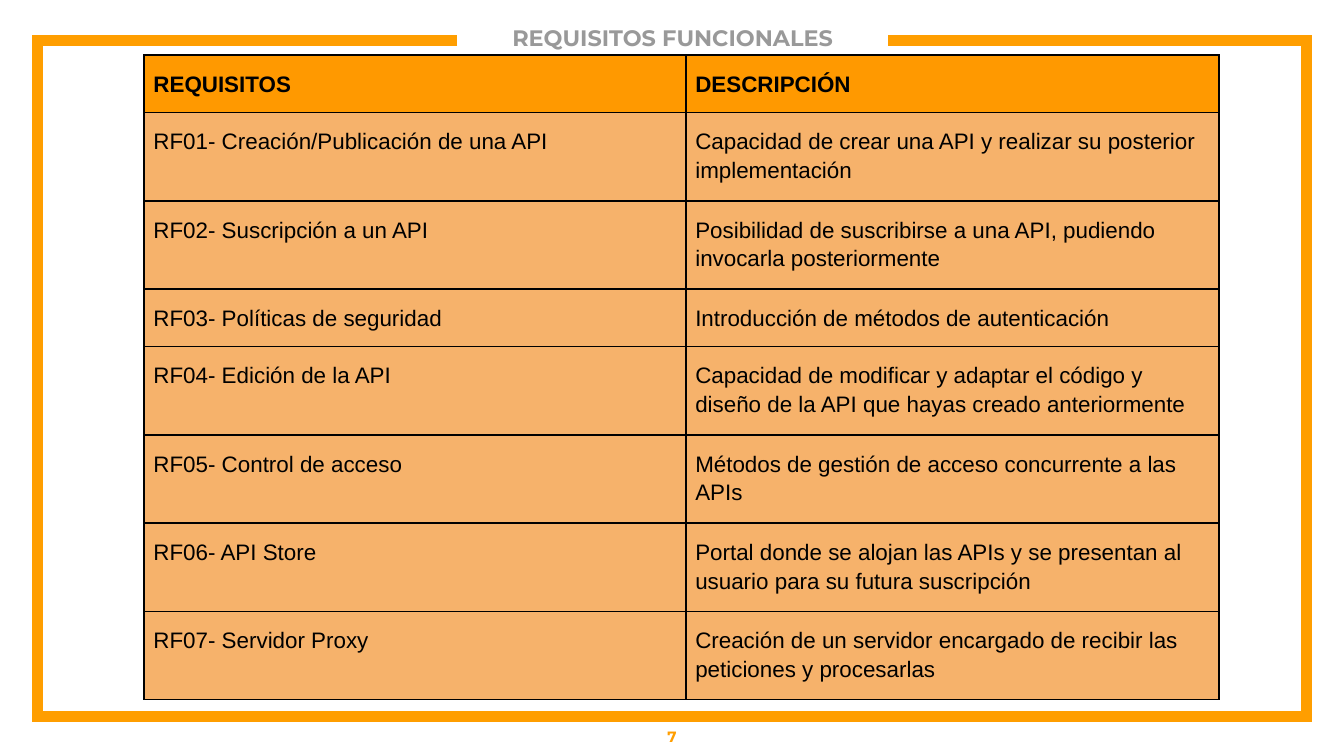
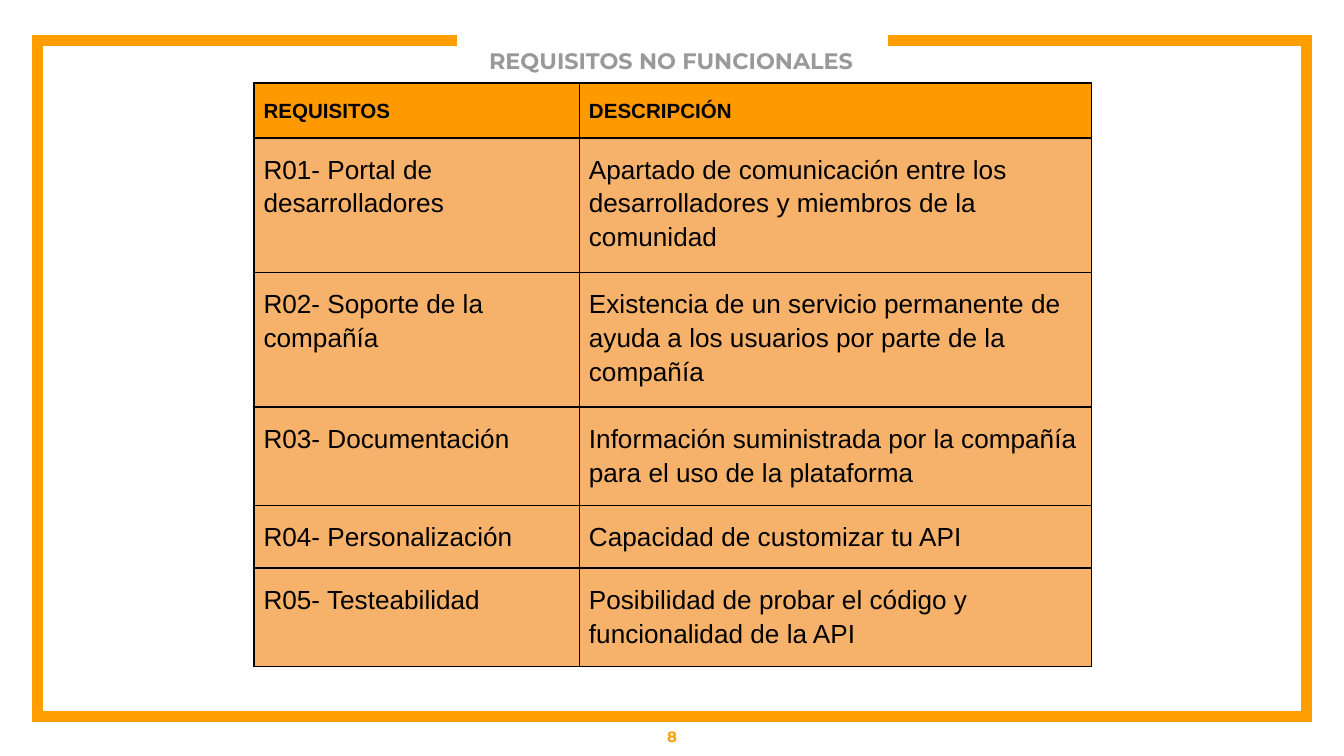
from lxml.etree import SubElement
from pptx import Presentation
from pptx.dml.color import RGBColor
from pptx.enum.text import MSO_ANCHOR, MSO_AUTO_SIZE, PP_ALIGN
from pptx.oxml import parse_xml
from pptx.oxml.ns import nsdecls, qn
from pptx.util import Cm, Pt

COLORS = {
    "frame": "FF9E00",
    "title": "999999",
    "head": "FF9900",
    "body": "F6B26B",
    "text": "000000",
}
HEADS = ("REQUISITOS", "DESCRIPCIÓN")
FRAME = [(8.64, 0.76), (0.71, 0.76), (0.71, 13.54),
         (24.69, 13.54), (24.69, 0.76), (16.79, 0.76)]

# Each row: requirement, description, number of text lines
PAGES = [
    {
        "number": "7",
        "title": "REQUISITOS FUNCIONALES",
        "title_at": (9.02, -0.3),
        "table_at": (2.72, 1.04),
        "widths": (10.24, 10.08),
        "sizes": (12, 12),
        "rows": [
            ("RF01- Creación/Publicación de una API",
             "Capacidad de crear una API y realizar su posterior implementación", 2),
            ("RF02- Suscripción a un API",
             "Posibilidad de suscribirse a una API, pudiendo invocarla posteriormente", 2),
            ("RF03- Políticas de seguridad",
             "Introducción de métodos de autenticación", 1),
            ("RF04- Edición de la API",
             "Capacidad de modificar y adaptar el código y diseño de la API "
             "que hayas creado anteriormente", 2),
            ("RF05- Control de acceso",
             "Métodos de gestión de acceso concurrente a las APIs", 2),
            ("RF06- API Store",
             "Portal donde se alojan las APIs y se presentan al usuario "
             "para su futura suscripción", 2),
            ("RF07- Servidor Proxy",
             "Creación de un servidor encargado de recibir las peticiones "
             "y procesarlas", 2),
        ],
    },
    {
        "number": "8",
        "title": "REQUISITOS NO FUNCIONALES",
        "title_at": (8.99, 0.13),
        "table_at": (4.8, 1.57),
        "widths": (6.15, 9.68),
        "sizes": (11, 14),
        "rows": [
            ("R01- Portal de desarrolladores",
             "Apartado de comunicación entre los desarrolladores y miembros "
             "de la comunidad", 3),
            ("R02- Soporte de la compañía",
             "Existencia de un servicio permanente de ayuda a los usuarios "
             "por parte de la compañía", 3),
            ("R03- Documentación",
             "Información suministrada por la compañía para el uso de la plataforma", 2),
            ("R04- Personalización", "Capacidad de customizar tu API", 1),
            ("R05- Testeabilidad",
             "Posibilidad de probar el código y funcionalidad de la API", 2),
        ],
    },
]


def write(frame, text, font, size, color, bold=True):
    para = frame.paragraphs[0]
    run = para.add_run()
    run.text = text
    run.font.name = font
    run.font.size = Pt(size)
    run.font.bold = bold
    run.font.color.rgb = RGBColor.from_string(COLORS[color])
    return para


def style(cell, color):
    """Fill a cell, set its margins and draw its four borders."""
    cell.fill.solid()
    cell.fill.fore_color.rgb = RGBColor.from_string(COLORS[color])
    cell.margin_left = cell.margin_right = Cm(0.18)
    cell.margin_top = cell.margin_bottom = Cm(0.25)
    props = cell._tc.get_or_add_tcPr()
    for spot, side in enumerate("LRTB"):
        props.insert(spot, parse_xml(
            f'<a:ln{side} {nsdecls("a")} w="{Pt(1)}"><a:solidFill>'
            f'<a:srgbClr val="{COLORS["text"]}"/></a:solidFill></a:ln{side}>'))


deck = Presentation()
deck.slide_width = Cm(25.4)
deck.slide_height = Cm(14.29)

for page in PAGES:
    slide = deck.slides.add_slide(deck.slide_layouts[5])

    # Open frame around the slide
    points = [(Cm(x), Cm(y)) for x, y in FRAME]
    path = slide.shapes.build_freeform(*points[0])
    path.add_line_segments(points[1:], close=False)
    border = path.convert_to_shape()
    border.shadow.inherit = False
    border.fill.background()
    border.line.color.rgb = RGBColor.from_string(COLORS["frame"])
    border.line.width = Pt(6)
    SubElement(border.line._get_or_add_ln(), qn("a:miter"), lim="800000")

    # Title
    title = slide.shapes.title
    title.left, title.top = (Cm(v) for v in page["title_at"])
    title.width, title.height = Cm(7.39), Cm(2.03)
    frame = title.text_frame
    frame.auto_size = MSO_AUTO_SIZE.NONE
    frame.word_wrap = True
    frame.vertical_anchor = MSO_ANCHOR.BOTTOM
    frame.margin_left = frame.margin_right = frame.margin_top = Cm(0.25)
    frame.margin_bottom = Cm(0.76)
    para = write(frame, page["title"], "Montserrat", 12, "title")
    para.alignment = PP_ALIGN.CENTER

    # Page number
    foot = slide.shapes.add_textbox(0, Cm(13.54), deck.slide_width, Cm(0.75))
    frame = foot.text_frame
    frame.word_wrap = True
    frame.vertical_anchor = MSO_ANCHOR.MIDDLE
    para = write(frame, page["number"], "Montserrat", 8, "frame")
    para.alignment = PP_ALIGN.CENTER

    # Table of requirements; row heights follow from the lines of text
    rows = [(*HEADS, 1), *page["rows"]]
    sizes = [page["sizes"][0]] + [page["sizes"][1]] * len(page["rows"])
    highs = [Cm(0.51 + 0.05 * 0.91 * size * row[2])
             for row, size in zip(rows, sizes)]
    left, top = (Cm(v) for v in page["table_at"])
    wide = Cm(sum(page["widths"]))
    table = slide.shapes.add_table(
        len(rows), 2, left, top, wide, sum(highs)).table
    table.horz_banding = False
    for col, width in zip(table.columns, page["widths"]):
        col.width = Cm(width)
    for r, (row, size, high) in enumerate(zip(rows, sizes, highs)):
        table.rows[r].height = high
        for c, text in enumerate(row[:2]):
            cell = table.cell(r, c)
            style(cell, "body" if r else "head")
            para = write(cell.text_frame, text, "Arial", size, "text", r == 0)
            para.line_spacing = 1.15

deck.save("out.pptx")
